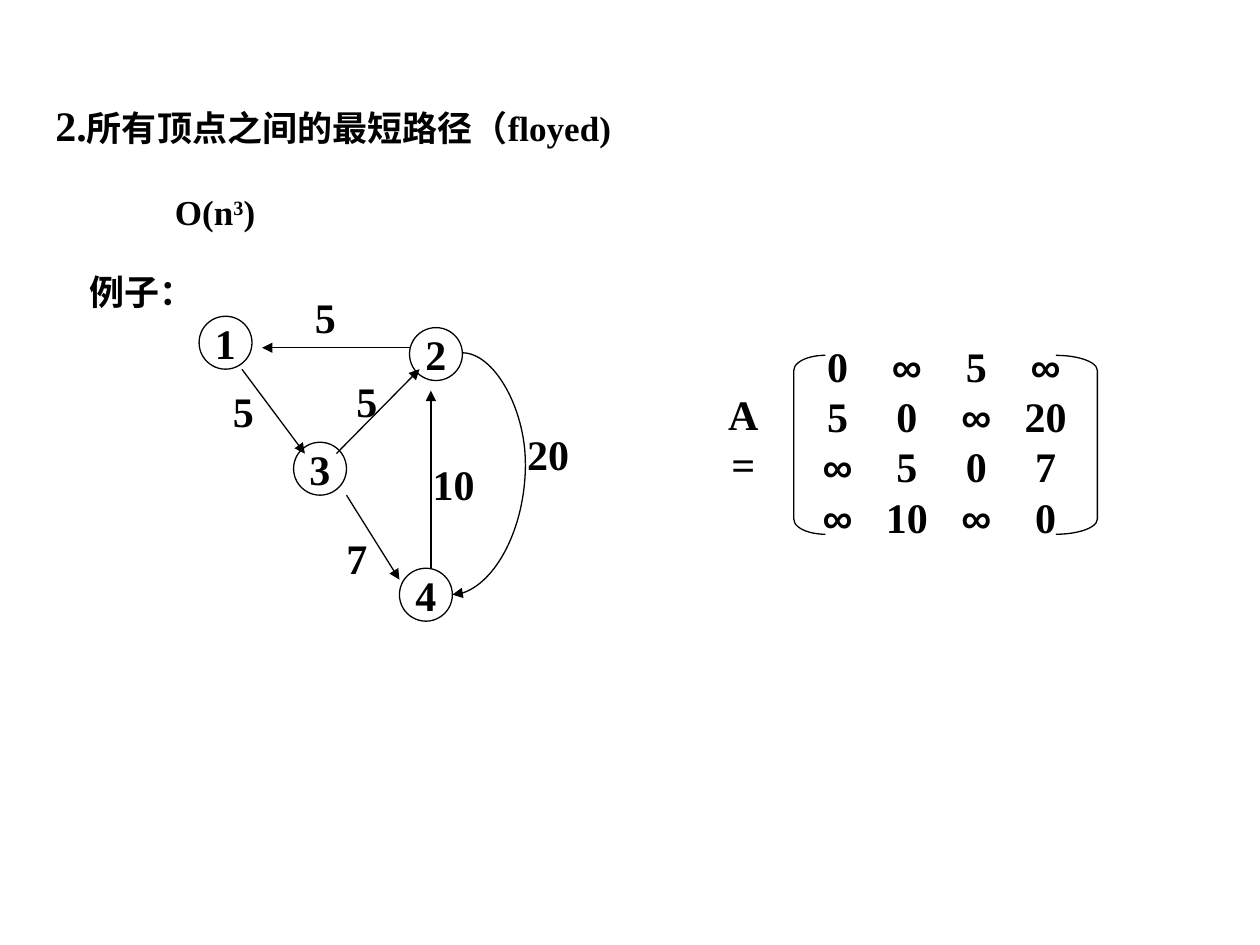
from pptx import Presentation
from pptx.dml.color import RGBColor
from pptx.enum.shapes import MSO_CONNECTOR as Link, MSO_SHAPE as Shape
from pptx.enum.text import MSO_ANCHOR as Anchor, PP_ALIGN as Align
from pptx.oxml.ns import qn
from pptx.util import Inches, Pt
from lxml.etree import SubElement

BLACK = RGBColor(0, 0, 0)
SERIF, SANS = "Times New Roman", "Arial"
LARGE, SMALL = 24, 20
LINE_WIDTH = 0.75
NODE_SIZE = 0.42
LABEL_HEIGHT = 0.5

HEADING = (("2.", LARGE), ("所有顶点之间的最短路径（floyed)", SMALL))
COMPLEXITY = (("O(n", 0), ("3", 30000), (")", 0))
NODES = {"1": (1.58, 2.51), "2": (3.25, 2.6), "3": (2.33, 3.51), "4": (3.17, 4.51)}
EDGES = [
    ((1.92, 2.93), (2.42, 3.6)),
    ((2.75, 3.93), (3.17, 4.6)),
    ((2.67, 3.6), (3.33, 2.93)),
    ((3.42, 4.51), (3.42, 3.1)),
    ((3.25, 2.76), (2.08, 2.76)),
]
CURVE_START, CURVE_BEND, CURVE_TIP = (3.67, 2.8), (4.17, 3.68), (3.59, 4.72)
LABELS = [
    ("5", 2.58, 2.51), ("5", 1.93, 3.26), ("5", 2.91, 3.18), ("7", 2.83, 4.43),
    ("10", 3.6, 3.84), ("20", 4.35, 3.6), ("A=", 5.9, 3.48),
]
MATRIX = [
    ("0", "∞", "5", "∞"),
    ("5", "0", "∞", "20"),
    ("∞", "5", "0", "7"),
    ("∞", "10", "∞", "0"),
]
MATRIX_BOX = (6.29, 2.65, 2.36, 1.7)
FIRST_COLUMN, COLUMN_PITCH = 0.26, 0.55
BRACKET_TOP, BRACKET_HEIGHT, BRACKET_CORNER = 2.82, 1.42, 0.12
BRACKETS = [(Shape.LEFT_BRACKET, 6.3, 0.25), (Shape.RIGHT_BRACKET, 8.38, 0.33)]


def style(run, size=LARGE, font=SERIF):
    run.font.name, run.font.size, run.font.bold = font, Pt(size), True
    run.font.color.rgb = BLACK


def add_run(paragraph, text, size=LARGE, font=SERIF):
    run = paragraph.add_run()
    run.text = text
    style(run, size, font)
    return run


def add_text(slide, box, text="", size=LARGE, align=Align.LEFT, wrap=False):
    frame = slide.shapes.add_textbox(*map(Inches, box)).text_frame
    frame.word_wrap, frame.vertical_anchor = wrap, Anchor.MIDDLE
    paragraph = frame.paragraphs[0]
    paragraph.alignment = align
    if text:
        add_run(paragraph, text, size)
    return frame


def add_outline(slide, kind, box):
    shape = slide.shapes.add_shape(kind, *map(Inches, box))
    shape.shadow.inherit = False
    shape.fill.background()
    shape.line.color.rgb, shape.line.width = BLACK, Pt(LINE_WIDTH)
    return shape


def add_link(slide, start, end, kind=Link.STRAIGHT, arrow=True):
    link = slide.shapes.add_connector(kind, *map(Inches, (*start, *end)))
    link.line.color.rgb, link.line.width = BLACK, Pt(LINE_WIDTH)
    properties = link.element.spPr
    if kind == Link.CURVE:
        properties.find(qn("a:prstGeom")).set("prst", "curvedConnector2")
    if arrow:
        side = "a:headEnd" if kind == Link.CURVE else "a:tailEnd"
        SubElement(link.line._get_or_add_ln(), qn(side), type="triangle")
    SubElement(properties, qn("a:effectLst"))


def add_heading(slide):
    title = slide.shapes.title
    title.left, title.top, title.width, title.height = map(Inches, (0.34, 0.74, 8.99, 0.5))
    title.text_frame.vertical_anchor = Anchor.MIDDLE
    paragraph = title.text_frame.paragraphs[0]
    paragraph.alignment = Align.LEFT
    for text, size in HEADING:
        add_run(paragraph, text, size)
    complexity = add_text(slide, (1.29, 1.46, 1.2, 0.44)).paragraphs[0]
    for text, baseline in COMPLEXITY:
        run = add_run(complexity, text, SMALL)
        if baseline:
            run.font._element.set("baseline", str(baseline))
    add_text(slide, (0.47, 2.09, 1.03, 0.44), "例子：", SMALL, Align.CENTER)


def add_graph(slide):
    for name, (left, top) in NODES.items():
        node = add_outline(slide, Shape.OVAL, (left, top, NODE_SIZE, NODE_SIZE))
        frame = node.text_frame
        frame.text = name
        frame.word_wrap, frame.vertical_anchor = False, Anchor.MIDDLE
        frame.paragraphs[0].alignment = Align.CENTER
        style(frame.paragraphs[0].runs[0])
    for start, end in EDGES:
        add_link(slide, start, end)
    add_link(slide, CURVE_START, CURVE_BEND, Link.CURVE, arrow=False)
    add_link(slide, CURVE_TIP, CURVE_BEND, Link.CURVE)
    for text, x, y in LABELS:
        width = 0.19 + 0.17 * len(text)
        box = (x - width / 2, y - LABEL_HEIGHT / 2, width, LABEL_HEIGHT)
        add_text(slide, box, text, align=Align.CENTER)


def add_matrix(slide):
    frame = add_text(slide, MATRIX_BOX, wrap=True)
    for index, row in enumerate(MATRIX):
        paragraph = frame.add_paragraph() if index else frame.paragraphs[0]
        stops = SubElement(paragraph._p.get_or_add_pPr(), qn("a:tabLst"))
        for column, value in enumerate(row):
            position = Inches(FIRST_COLUMN + column * COLUMN_PITCH)
            SubElement(stops, qn("a:tab"), pos=str(position), algn="ctr")
            add_run(paragraph, "\t")
            add_run(paragraph, value, font=SANS if value == "∞" else SERIF)
    for kind, left, width in BRACKETS:
        bracket = add_outline(slide, kind, (left, BRACKET_TOP, width, BRACKET_HEIGHT))
        bracket.adjustments[0] = BRACKET_CORNER / width


def main():
    """Build the all-pairs shortest path slide."""
    deck = Presentation()
    deck.slide_width, deck.slide_height = Inches(10), Inches(7.5)
    slide = deck.slides.add_slide(deck.slide_layouts[5])
    add_heading(slide)
    add_graph(slide)
    add_matrix(slide)
    deck.save("out.pptx")


if __name__ == "__main__":
    main()
